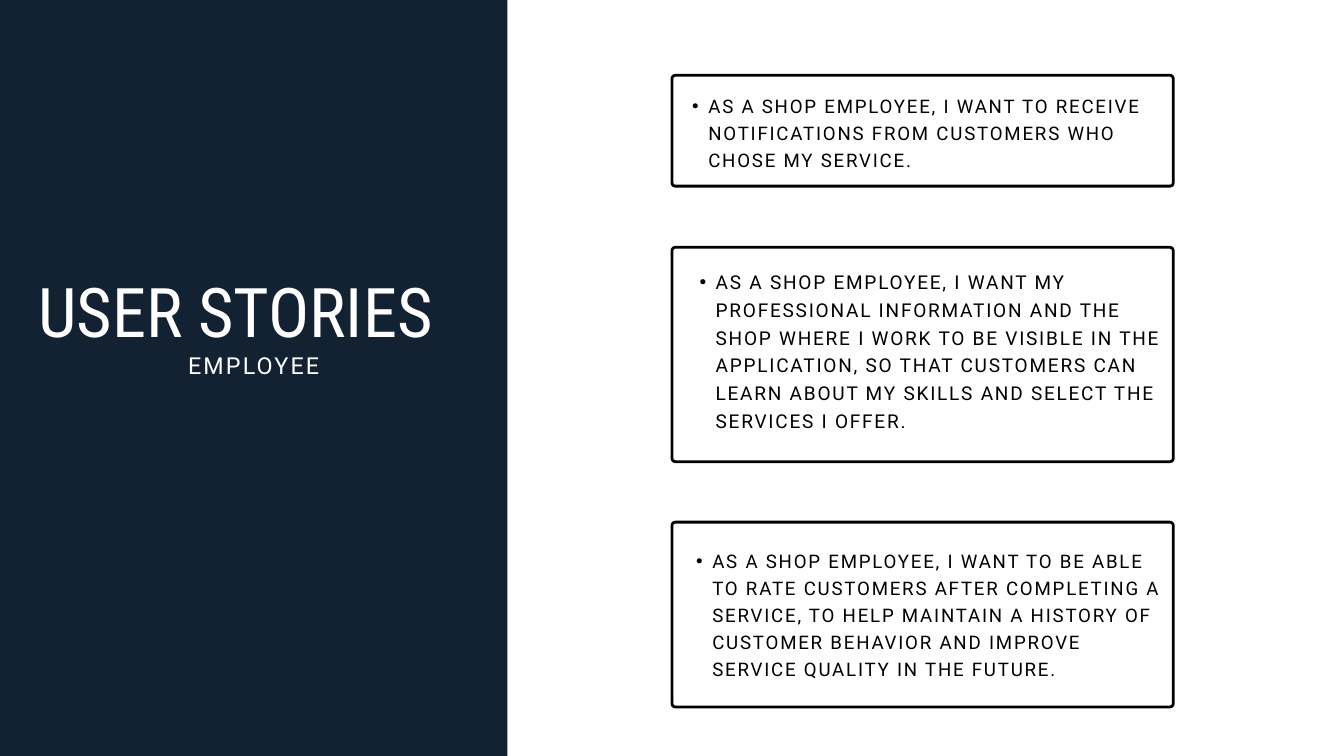
from lxml import etree
from pptx import Presentation
from pptx.dml.color import RGBColor
from pptx.enum.shapes import MSO_SHAPE
from pptx.enum.text import MSO_ANCHOR, MSO_AUTO_SIZE, PP_ALIGN
from pptx.oxml.ns import qn
from pptx.util import Inches, Pt

RECT = MSO_SHAPE.RECTANGLE
ROUND = MSO_SHAPE.ROUNDED_RECTANGLE
TOP = MSO_ANCHOR.TOP
FIXED = MSO_AUTO_SIZE.NONE
LEFT, CENTER = PP_ALIGN.LEFT, PP_ALIGN.CENTER
NAVY, WHITE, BLACK = "132232", "FFFFFF", "000000"


def rgb(code):
    return RGBColor.from_string(code)


def write(box, text, place, size, lead, font="Roboto", color=BLACK,
          align=LEFT, track=0, indent=0):
    box.left, box.top, box.width, box.height = map(Inches, place)
    frame = box.text_frame
    frame.word_wrap = True
    frame.auto_size = FIXED
    frame.vertical_anchor = TOP
    frame.margin_left = frame.margin_right = 0
    frame.margin_top = frame.margin_bottom = 0
    para = frame.paragraphs[0]
    para.alignment = align
    para.line_spacing = Pt(lead)
    run = para.add_run()
    run.text = text
    run.font.name = font
    run.font.size = Pt(size)
    run.font.color.rgb = rgb(color)
    if track:
        run.font._element.set("spc", str(round(track * 100)))
    if indent:
        para.level = 1
        props = para._p.get_or_add_pPr()
        props.set("marL", str(Inches(indent)))
        props.set("indent", str(Inches(-0.24)))
        etree.SubElement(props, qn("a:buFont")).set("typeface", "Arial")
        etree.SubElement(props, qn("a:buChar")).set("char", "•")


deck = Presentation()
deck.slide_width, deck.slide_height = Inches(20), Inches(11.25)
slide = deck.slides.add_slide(deck.slide_layouts[5])
shapes = slide.shapes
title = shapes.title

panel = shapes.add_shape(RECT, 0, 0, Inches(7.55), Inches(11.25))
panel.shadow.inherit = False
panel.fill.solid()
panel.fill.fore_color.rgb = rgb(NAVY)
panel.line.fill.background()
title._element.addprevious(panel._element)

write(title, "USER STORIES", (0.57, 4.05, 6.41, 1.19), 73.4, 84.4,
      font="Roboto Condensed", color=WHITE)
write(shapes.add_textbox(0, 0, 0, 0), "EMPLOYEE", (0.57, 5.14, 6.41, 0.49),
      25, 36.2, color=WHITE, align=CENTER, track=2.3)

stories = [
    (1.12, 1.65, (10.07, 1.34, 7.32, 1.18), 20, 29, 0.47,
     "AS A SHOP EMPLOYEE, I WANT TO RECEIVE NOTIFICATIONS FROM CUSTOMERS "
     "WHO CHOSE MY SERVICE."),
    (3.68, 3.19, (10.17, 3.96, 7.16, 2.42), 20.4, 29.6, 0.48,
     "AS A SHOP EMPLOYEE, I WANT MY PROFESSIONAL INFORMATION AND THE SHOP "
     "WHERE I WORK TO BE VISIBLE IN THE APPLICATION, SO THAT CUSTOMERS CAN "
     "LEARN ABOUT MY SKILLS AND SELECT THE SERVICES I OFFER."),
    (7.77, 2.75, (10.13, 8.11, 7.24, 1.98), 20, 29, 0.47,
     "AS A SHOP EMPLOYEE, I WANT TO BE ABLE TO RATE CUSTOMERS AFTER "
     "COMPLETING A SERVICE, TO HELP MAINTAIN A HISTORY OF CUSTOMER BEHAVIOR "
     "AND IMPROVE SERVICE QUALITY IN THE FUTURE."),
]
for top, height, place, size, lead, indent, text in stories:
    card = shapes.add_shape(ROUND, Inches(10), Inches(top), Inches(7.46),
                            Inches(height))
    card.adjustments[0] = 0.05 / height
    card.shadow.inherit = False
    card.fill.background()
    card.line.color.rgb = rgb(BLACK)
    card.line.width = Pt(3)
    write(shapes.add_textbox(0, 0, 0, 0), text, place, size, lead,
          track=1.9, indent=indent)

deck.save("out.pptx")
